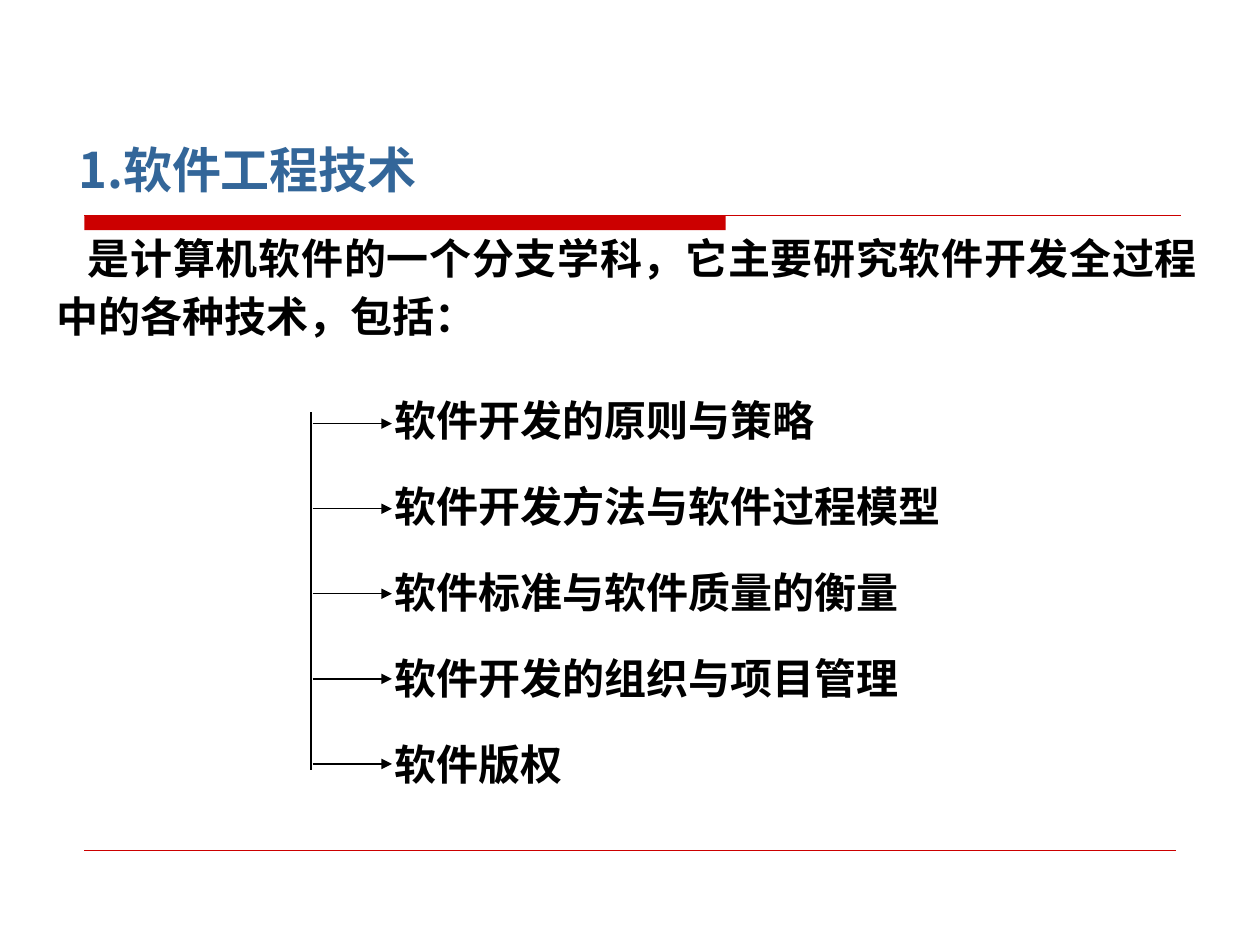
from lxml import etree
from pptx import Presentation
from pptx.dml.color import RGBColor
from pptx.enum import shapes, text
from pptx.oxml.ns import qn
from pptx.util import Cm, Pt

FONT = "Noto Sans CJK SC"
RED, BLUE, BLACK = "CC0000", "336699", "000000"
TOPICS = [
    "软件开发的原则与策略",
    "软件开发方法与软件过程模型",
    "软件标准与软件质量的衡量",
    "软件开发的组织与项目管理",
    "软件版权",
]


def colour(value):
    return RGBColor.from_string(value)


def add_line(slide, x1, y1, x2, y2, hue, width=0.75, arrow=False):
    line = slide.shapes.add_connector(
        shapes.MSO_CONNECTOR.STRAIGHT, Cm(x1), Cm(y1), Cm(x2), Cm(y2))
    line.line.color.rgb = colour(hue)
    line.line.width = Pt(width)
    properties = line.line._get_or_add_ln()
    if arrow:
        etree.SubElement(properties, qn("a:tailEnd"), type="triangle")
    etree.SubElement(line._element.spPr, qn("a:effectLst"))


def add_frame(slide, left, top, width, height):
    frame = slide.shapes.add_textbox(
        Cm(left), Cm(top), Cm(width), Cm(height)).text_frame
    frame.word_wrap = True
    return frame


def write(frame, words, size=24, hue=BLACK, spacing=1.0, before=0, indent=0,
          align=text.PP_ALIGN.LEFT):
    """Fill the empty first paragraph of the frame, or append a new one."""
    first = not frame.text
    paragraph = frame.paragraphs[0] if first else frame.add_paragraph()
    paragraph.alignment = align
    paragraph.line_spacing = spacing
    paragraph.space_before = Pt(0 if first else before)
    if indent:
        paragraph._p.get_or_add_pPr().set("indent", str(Cm(indent)))
    run = paragraph.add_run()
    run.text = words
    run.font.size, run.font.bold, run.font.name = Pt(size), True, FONT
    run.font.color.rgb = colour(hue)
    etree.SubElement(run.font._element, qn("a:ea"), typeface=FONT)


def add_rules(slide, left, top, width, height):
    """Red band under the heading and thin rule at the foot of the box."""
    band = slide.shapes.add_shape(
        shapes.MSO_SHAPE.RECTANGLE, Cm(left), Cm(top), Cm(12.93), Cm(0.3))
    band.shadow.inherit = False
    band.fill.solid()
    band.fill.fore_color.rgb = colour(RED)
    band.line.fill.background()
    add_line(slide, left, top, left + width + 0.1, top, RED)
    add_line(slide, left, top + height, left + width, top + height, RED, 0.25)


def add_introduction(slide, left, top, width, height):
    frame = add_frame(slide, left, top, width, height)
    write(frame, "1.软件工程技术", size=28, hue=BLUE, spacing=1.15, indent=0.44)
    write(frame, "是计算机软件的一个分支学科，它主要研究软件开发全过程中的各种技术，包括：",
          spacing=1.15, before=15, indent=0.63, align=text.PP_ALIGN.JUSTIFY)


def add_topic_tree(slide, left, top, width, height):
    """Trunk line with one arrow to each topic."""
    trunk_x, step = left, 1.715
    add_line(slide, trunk_x, top + 0.99, trunk_x, top + 8.2, BLACK)
    frame = add_frame(slide, left + 1.43, top, width - 1.43, height)
    for row, topic in enumerate(TOPICS):
        y = top + 1.22 + row * step
        add_line(slide, trunk_x + 0.03, y, trunk_x + 1.63, y, BLACK, arrow=True)
        write(frame, topic, spacing=1.5, before=6)


def main():
    deck = Presentation()
    deck.slide_width, deck.slide_height = Cm(25.4), Cm(19.05)
    slide = deck.slides.add_slide(deck.slide_layouts[6])
    add_rules(slide, 1.7, 4.34, 22, 12.8)
    add_introduction(slide, 0.89, 2.51, 23.5, 5.77)
    add_topic_tree(slide, 6.27, 7.32, 17.23, 8.74)
    deck.save("out.pptx")


if __name__ == "__main__":
    main()
